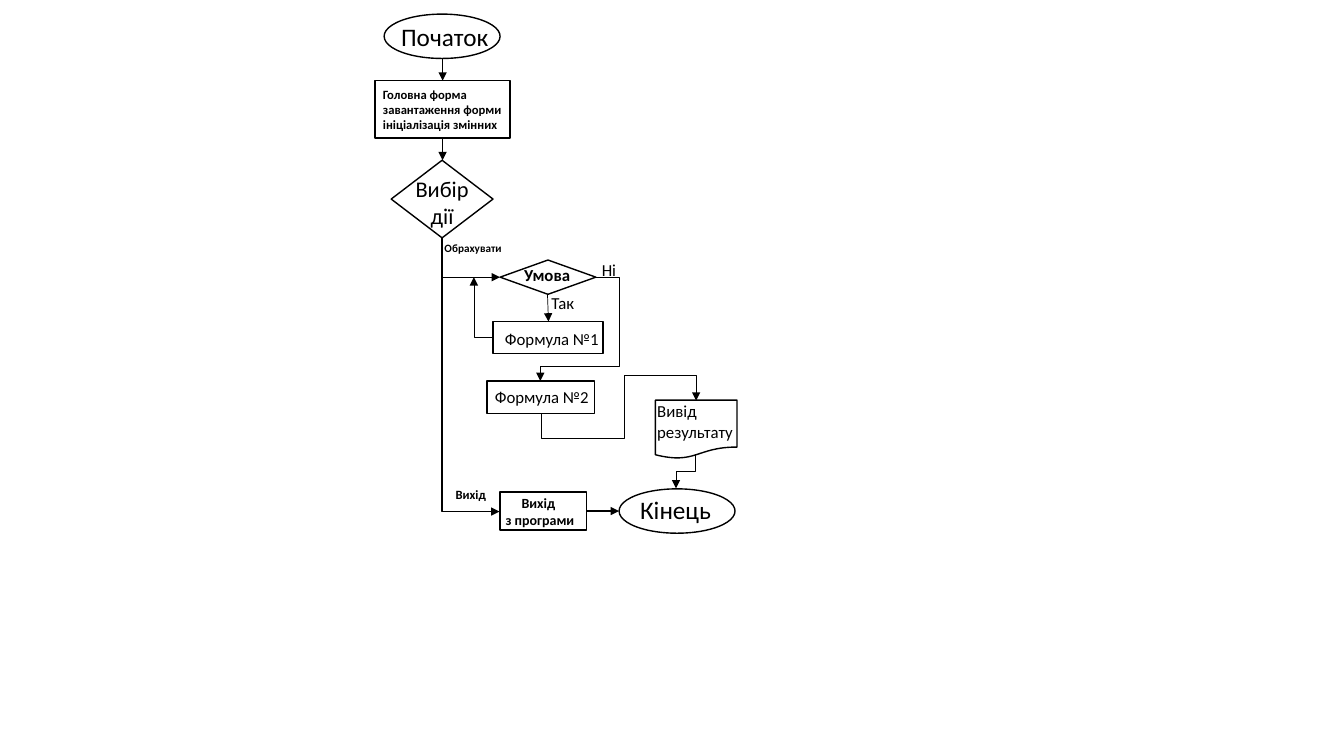
from dataclasses import dataclass

from lxml.etree import SubElement
from pptx import Presentation
from pptx.dml.color import RGBColor
from pptx.enum.shapes import MSO_CONNECTOR, MSO_SHAPE
from pptx.enum.text import MSO_AUTO_SIZE, PP_ALIGN
from pptx.oxml.ns import qn
from pptx.shapes.connector import Connector
from pptx.slide import Slide
from pptx.util import Inches, Pt

BLACK = RGBColor(0, 0, 0)
WHITE = RGBColor(255, 255, 255)
FONT = "Calibri"
TRUNK_X = 4.39
THICK, THIN = 1, 0.5

Box = tuple[float, float, float, float]


@dataclass(frozen=True)
class Step:
    outline: MSO_SHAPE
    box: Box
    filled: bool = False


@dataclass(frozen=True)
class Caption:
    text: str
    box: Box
    size: float
    bold: bool = False
    align: PP_ALIGN = PP_ALIGN.LEFT


@dataclass(frozen=True)
class Arrow:
    start: tuple[float, float]
    end: tuple[float, float]
    weight: float = THICK


@dataclass(frozen=True)
class Elbow:
    box: Box
    segments: int
    rotation: int = 0
    flips: str = ""
    bends: tuple[float, ...] = ()
    weight: float = THIN


STEPS = [
    Step(MSO_SHAPE.OVAL, (3.81, 0.14, 1.15, 0.44)),
    Step(MSO_SHAPE.RECTANGLE, (3.72, 0.8, 1.34, 0.57)),
    Step(MSO_SHAPE.DIAMOND, (3.88, 1.59, 1.01, 0.77), filled=True),
    Step(MSO_SHAPE.RECTANGLE, (4.96, 4.88, 0.86, 0.38), filled=True),
    Step(MSO_SHAPE.OVAL, (6.14, 4.85, 1.15, 0.44)),
    Step(MSO_SHAPE.FLOWCHART_DECISION, (4.96, 2.58, 0.95, 0.34)),
    Step(MSO_SHAPE.RECTANGLE, (4.89, 3.19, 1.09, 0.32)),
    Step(MSO_SHAPE.RECTANGLE, (4.83, 3.78, 1.07, 0.32)),
    Step(MSO_SHAPE.FLOWCHART_DOCUMENT, (6.5, 3.97, 0.81, 0.58)),
]

ARROWS = [
    Arrow((TRUNK_X, 0.58), (TRUNK_X, 0.8)),
    Arrow((TRUNK_X, 1.37), (TRUNK_X, 1.59)),
    Arrow((TRUNK_X, 2.75), (4.96, 2.75)),
    Arrow((5.82, 5.07), (6.14, 5.07)),
    Arrow((5.43, 2.92), (5.44, 3.19), THIN),
]

ELBOWS = [
    Elbow((3.31, 3.43, 2.72, 0.57), 2, 270, "H", weight=THICK),
    Elbow((5.36, 2.75, 0.54, 1.03), 4, 0, "H", (-0.46, 0.86)),
    Elbow((4.7, 2.75, 0.19, 0.6), 2, 180),
    Elbow((6.07, 3.27, 0.13, 1.54), 5, 90, "HV", (-1.9, 0.54, 2.9)),
    Elbow((6.63, 4.58, 0.34, 0.19), 3, 90),
]

CAPTIONS = [
    Caption("Початок", (3.88, 0.16, 1.08, 0.4), 18),
    Caption("Головна форма\nзавантаження форми\nініціалізація змінних",
            (3.7, 0.81, 1.44, 0.56), 9, bold=True),
    Caption("Вибір\nдії", (4.02, 1.69, 0.73, 0.64), 16, align=PP_ALIGN.CENTER),
    Caption("Обрахувати", (4.31, 2.35, 0.78, 0.24), 8, bold=True),
    Caption("Вихід", (4.42, 4.78, 0.51, 0.25), 9, bold=True),
    Caption("Кінець", (6.25, 4.85, 0.91, 0.4), 18),
    Caption("Вихід \nз програми", (4.91, 4.86, 0.89, 0.44), 10,
            bold=True, align=PP_ALIGN.CENTER),
    Caption("Умова", (5.1, 2.58, 0.66, 0.3), 12, bold=True),
    Caption("Так", (5.37, 2.86, 0.43, 0.3), 12),
    Caption("Ні", (5.87, 2.53, 0.35, 0.3), 12),
    Caption("Формула №1", (4.91, 3.21, 1.14, 0.3), 12),
    Caption("Формула №2", (4.81, 3.79, 1.14, 0.3), 12),
    Caption("Вивід\nрезультату", (6.42, 3.93, 0.96, 0.5), 12),
]


def draw_step(slide: Slide, step: Step) -> None:
    outline = slide.shapes.add_shape(step.outline, *map(Inches, step.box))
    outline.shadow.inherit = False
    if step.filled:
        outline.fill.solid()
        outline.fill.fore_color.rgb = WHITE
    else:
        outline.fill.background()
    outline.line.color.rgb = BLACK
    outline.line.width = Pt(THICK)


def style_connector(connector: Connector, weight: float) -> None:
    connector.line.color.rgb = BLACK
    connector.line.width = Pt(weight)
    SubElement(connector.line._get_or_add_ln(), qn("a:tailEnd"), type="triangle")
    SubElement(connector._element.spPr, qn("a:effectLst"))


def draw_arrow(slide: Slide, arrow: Arrow) -> None:
    connector = slide.shapes.add_connector(
        MSO_CONNECTOR.STRAIGHT, *map(Inches, arrow.start + arrow.end))
    style_connector(connector, arrow.weight)


def draw_elbow(slide: Slide, elbow: Elbow) -> None:
    left, top, width, height = elbow.box
    connector = slide.shapes.add_connector(
        MSO_CONNECTOR.ELBOW,
        *map(Inches, (left, top, left + width, top + height)))
    properties = connector._element.spPr
    frame = properties.find(qn("a:xfrm"))
    frame.set("rot", str(elbow.rotation * 60000))
    for axis in elbow.flips:
        frame.set(f"flip{axis}", "1")
    geometry = properties.find(qn("a:prstGeom"))
    geometry.set("prst", f"bentConnector{elbow.segments}")
    adjustments = geometry.find(qn("a:avLst"))
    for number, bend in enumerate(elbow.bends, start=1):
        SubElement(adjustments, qn("a:gd"), name=f"adj{number}",
                   fmla=f"val {round(bend * 100000)}")
    style_connector(connector, elbow.weight)


def add_text(slide: Slide, text: str, *, box: Box, size: float,
             bold: bool = False, align: PP_ALIGN = PP_ALIGN.LEFT) -> None:
    frame = slide.shapes.add_textbox(*map(Inches, box)).text_frame
    frame.word_wrap = False
    frame.auto_size = MSO_AUTO_SIZE.SHAPE_TO_FIT_TEXT
    frame.text = text
    for paragraph in frame.paragraphs:
        paragraph.alignment = align
        for run in paragraph.runs:
            run.font.name = FONT
            run.font.size = Pt(size)
            run.font.bold = bold
            run.font.color.rgb = BLACK


def main() -> None:
    presentation = Presentation()
    presentation.slide_width = Inches(13.33)
    presentation.slide_height = Inches(7.5)
    slide = presentation.slides.add_slide(presentation.slide_layouts[6])
    for step in STEPS:
        draw_step(slide, step)
    for arrow in ARROWS:
        draw_arrow(slide, arrow)
    for elbow in ELBOWS:
        draw_elbow(slide, elbow)
    for caption in CAPTIONS:
        add_text(slide, caption.text, box=caption.box, size=caption.size,
                 bold=caption.bold, align=caption.align)
    presentation.save("out.pptx")


if __name__ == "__main__":
    main()
